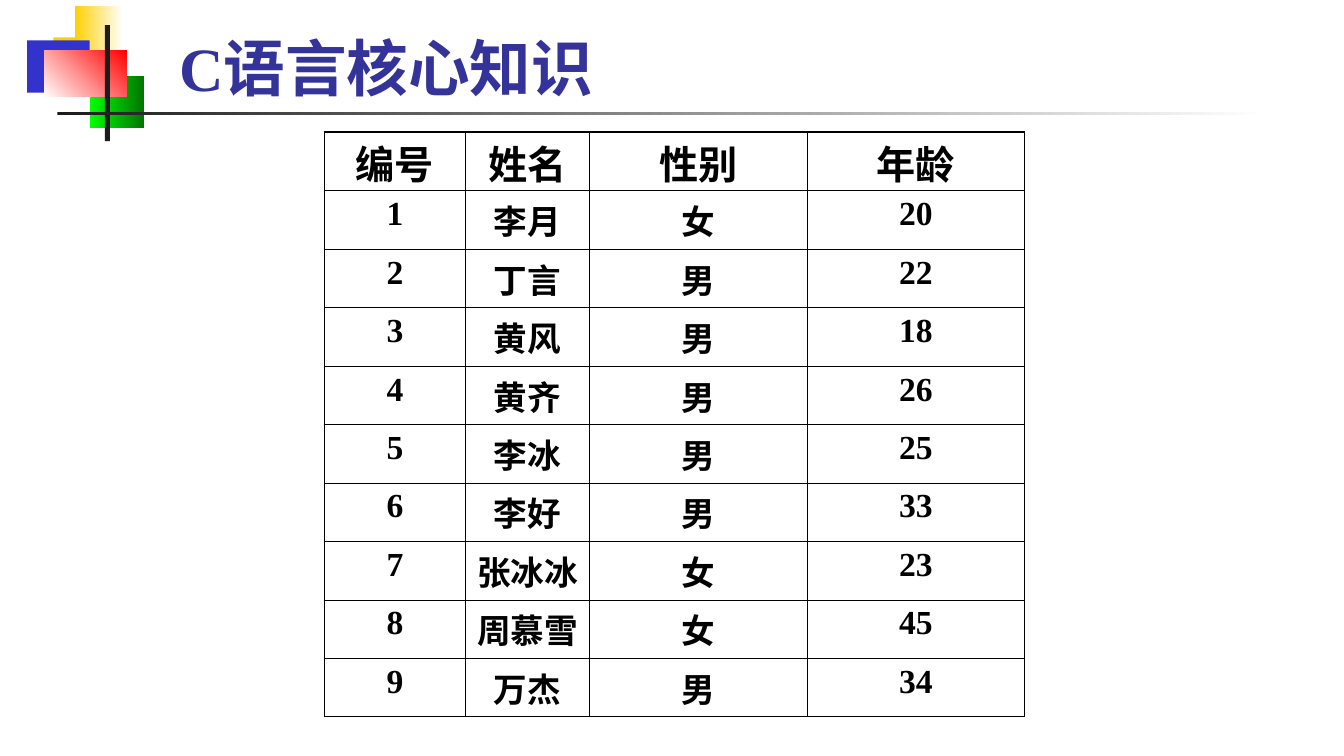
from lxml import etree
from pptx import Presentation
from pptx.dml.color import RGBColor
from pptx.enum import shapes, text
from pptx.oxml.ns import qn
from pptx.util import Inches, Pt

TITLE = "C语言核心知识"
HEADER = ("编号", "姓名", "性别", "年龄")
PEOPLE = [
    ("李月", "女", 20),
    ("丁言", "男", 22),
    ("黄风", "男", 18),
    ("黄齐", "男", 26),
    ("李冰", "男", 25),
    ("李好", "男", 33),
    ("张冰冰", "女", 23),
    ("周慕雪", "女", 45),
    ("万杰", "男", 34),
]


class Theme:
    latin, east_asian = "Times New Roman", "Noto Sans CJK JP"
    title_size, header_size, body_size = 44, 28, 24
    title, ink, white = "333399", "000000", "FFFFFF"
    gold, blue, red, dark = "FFCF01", "3333CC", "FF0000", "1C1C1C"
    lime, green = "00FF00", "007600"
    outer_line, inner_line = 1.08, 0.45


# left, top, width, height, colours (two make a gradient), gradient angle
ORNAMENTS = [
    (0.53, 0.37, 0.64, 0.52, (Theme.gold,), 0),
    (0.74, 0.06, 0.48, 0.52, (Theme.gold, Theme.white), 0),
    (0.27, 0.40, 0.62, 0.52, (Theme.blue,), 0),
    (0.89, 0.75, 0.54, 0.52, (Theme.lime, Theme.green), 0),
    (0.44, 0.50, 0.82, 0.46, (Theme.white, Theme.red), 45),
    (1.04, 0.25, 0.05, 1.15, (Theme.dark,), 0),
    (0.57, 1.11, 12, 0.03, (Theme.dark, Theme.white), 0),
]
TITLE_BOX = (1.68, 0.25, 7.6, 0.83)
TABLE_LEFT, TABLE_TOP = 3.22, 1.31
COLUMN_WIDTHS = (1.4, 1.23, 2.16, 2.16)
ROW_HEIGHT = 0.58


def add_ornament(page, left, top, width, height, colours, angle):
    block = page.shapes.add_shape(
        shapes.MSO_SHAPE.RECTANGLE, *map(Inches, (left, top, width, height)))
    block.shadow.inherit = False
    block.line.fill.background()
    if len(colours) == 1:
        block.fill.solid()
        block.fill.fore_color.rgb = RGBColor.from_string(colours[0])
        return
    block.fill.gradient()
    block.fill.gradient_angle = angle
    for stop, colour in zip(block.fill.gradient_stops, colours):
        stop.color.rgb = RGBColor.from_string(colour)


def style_paragraph(para, size, colour):
    font = para.font
    font.size, font.bold, font.name = Pt(size), True, Theme.latin
    font.color.rgb = RGBColor.from_string(colour)
    etree.SubElement(font._element, qn("a:ea"), typeface=Theme.east_asian)


def add_title(page):
    box = page.shapes.add_textbox(*map(Inches, TITLE_BOX))
    frame = box.text_frame
    frame.word_wrap = True
    frame.vertical_anchor = text.MSO_ANCHOR.BOTTOM
    frame.text = TITLE
    style_paragraph(frame.paragraphs[0], Theme.title_size, Theme.title)


def set_borders(cell, outer_sides):
    properties = cell._tc.get_or_add_tcPr()
    for side in "LRTB":
        width = Theme.outer_line if side in outer_sides else Theme.inner_line
        line = etree.SubElement(properties, qn(f"a:ln{side}"), w=str(int(Pt(width))))
        fill = etree.SubElement(line, qn("a:solidFill"))
        etree.SubElement(fill, qn("a:srgbClr"), val=Theme.ink)


def add_people_table(page):
    rows = [HEADER] + [(number, *person) for number, person in enumerate(PEOPLE, 1)]
    last_row, last_column = len(rows) - 1, len(HEADER) - 1
    table = page.shapes.add_table(
        len(rows), len(HEADER), Inches(TABLE_LEFT), Inches(TABLE_TOP),
        Inches(sum(COLUMN_WIDTHS)), Inches(ROW_HEIGHT * len(rows))).table
    table.horz_banding = False
    for column, width in zip(table.columns, COLUMN_WIDTHS):
        column.width = Inches(width)
    for r, values in enumerate(rows):
        table.rows[r].height = Inches(ROW_HEIGHT)
        for c, value in enumerate(values):
            cell = table.cell(r, c)
            cell.text = str(value)
            cell.margin_top = Inches(0.05 if r else 0.02)
            cell.margin_bottom = 0
            para = cell.text_frame.paragraphs[0]
            para.alignment = text.PP_ALIGN.CENTER
            style_paragraph(
                para, Theme.body_size if r else Theme.header_size, Theme.ink)
            edges = {"L": c == 0, "R": c == last_column,
                     "T": r == 0, "B": r == last_row}
            set_borders(cell, [side for side, outer in edges.items() if outer])
            cell.fill.background()


def main():
    deck = Presentation()
    deck.slide_width, deck.slide_height = Inches(13.34), Inches(7.5)
    page = deck.slides.add_slide(deck.slide_layouts[6])
    for ornament in ORNAMENTS:
        add_ornament(page, *ornament)
    add_people_table(page)
    add_title(page)
    deck.save("out.pptx")


if __name__ == "__main__":
    main()
